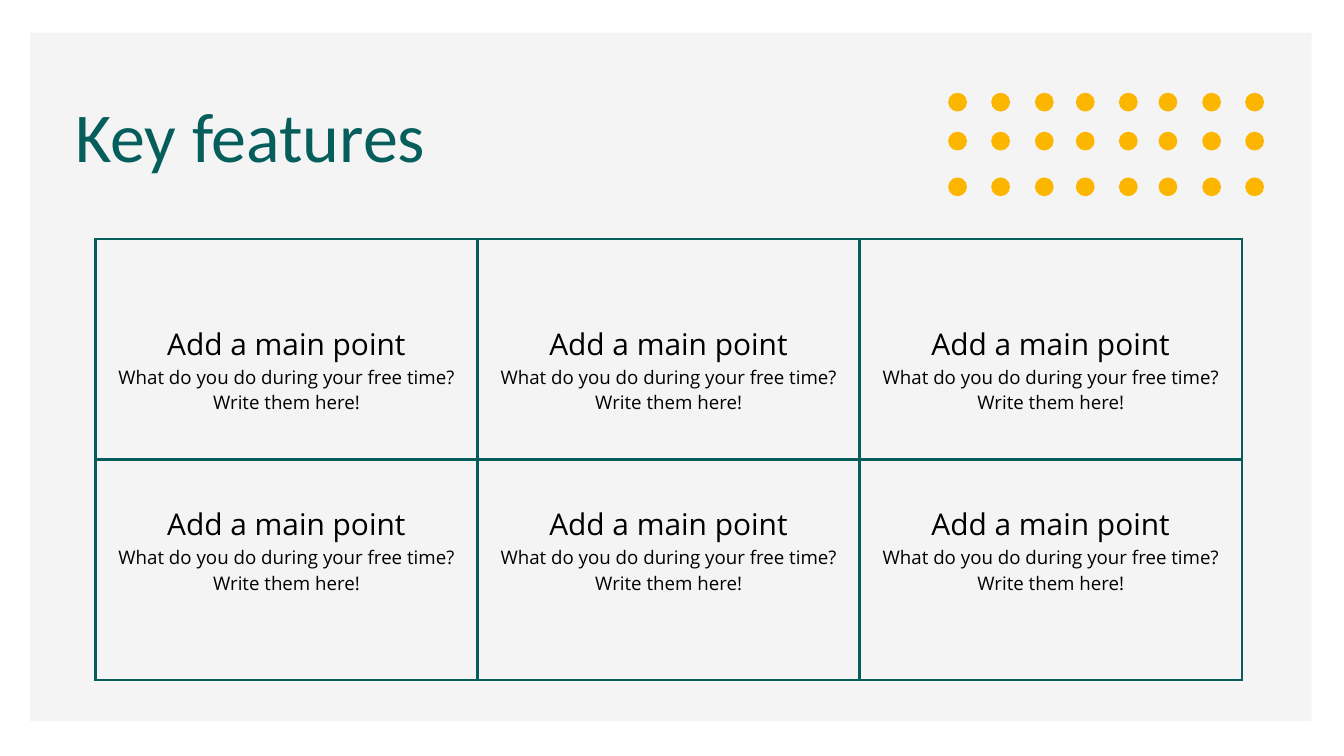
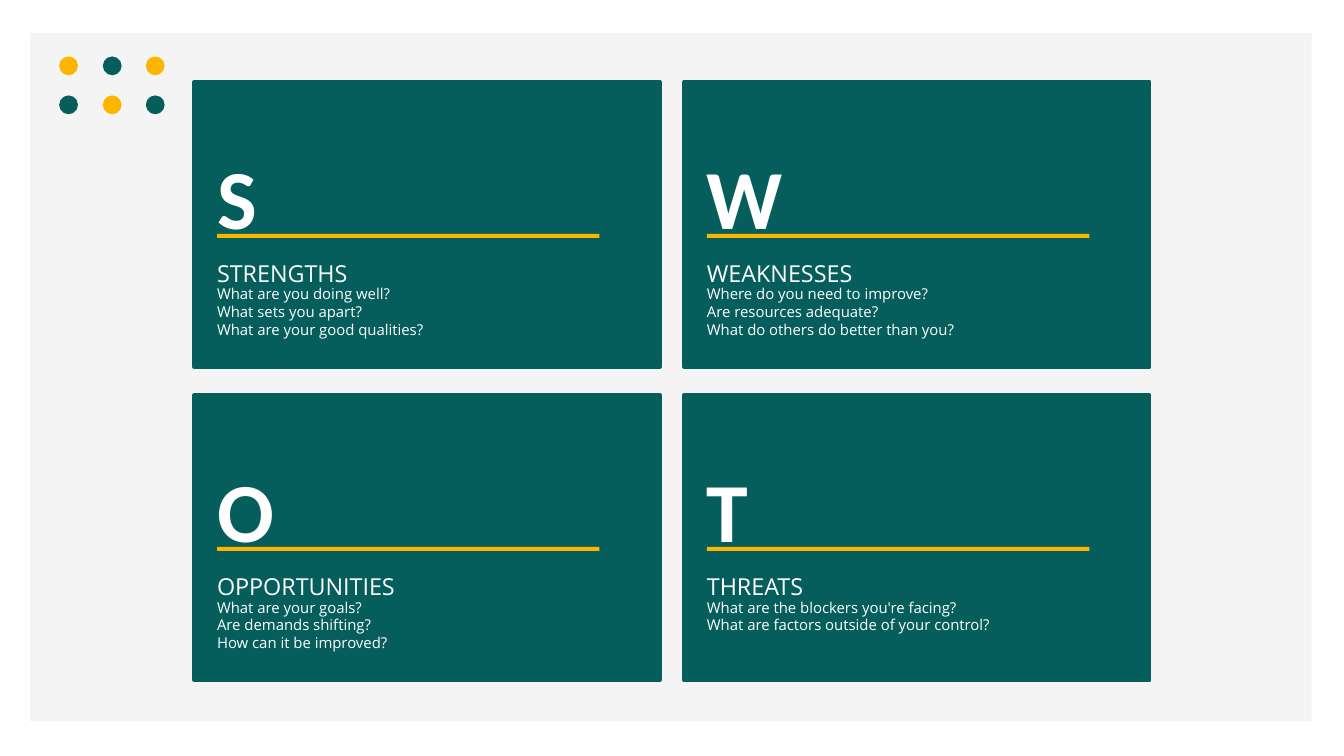
"""Build a key features table slide and a SWOT card slide."""
from lxml import etree
from pptx import Presentation
from pptx.dml.color import RGBColor
from pptx.enum.shapes import MSO_SHAPE
from pptx.enum.text import MSO_ANCHOR, MSO_AUTO_SIZE, PP_ALIGN
from pptx.oxml.ns import qn
from pptx.util import Pt

RECT, OVAL = MSO_SHAPE.RECTANGLE, MSO_SHAPE.OVAL
LEFT, MID = PP_ALIGN.LEFT, PP_ALIGN.CENTER
PX = 9144
TEAL, GOLD, GREY, WHITE, BLACK = "055E5C", "FDB600", "F4F4F4", "FFFFFF", "000000"
SIDES = ("left", "top", "width", "height")
FRAME = {"margin_left": 0, "margin_top": 0, "margin_right": 0, "margin_bottom": 0,
         "word_wrap": True, "auto_size": MSO_AUTO_SIZE.NONE,
         "vertical_anchor": MSO_ANCHOR.TOP}
TITLE = {"name": "Calibri", "size": Pt(75), "bold": False}
SIGN = {"name": "Calibri", "size": Pt(90), "bold": True}
HEAD = {"name": "Open Sans", "size": Pt(25), "bold": False}
LIST = {"name": "Open Sans", "size": Pt(16), "bold": False}
POINT = {"name": "Open Sans", "size": Pt(32), "bold": False}
NOTE = {"name": "Open Sans", "size": Pt(20), "bold": False}


def draw(slide, kind, box, hue, edge=0):
    """Add a plain filled shape."""
    shape = slide.shapes.add_shape(kind, *[n * PX for n in box])
    shape.shadow.inherit = False
    shape.fill.solid()
    shape.fill.fore_color.rgb = RGBColor.from_string(hue)
    if edge:
        shape.line.color.rgb = RGBColor.from_string(hue)
        shape.line.width = Pt(edge)
    else:
        shape.line.fill.background()


def write(item, lines, hue, align=LEFT, space=1.0, box=None):
    """Fill a shape or cell with (text, format) lines and place it."""
    frame = item.text_frame
    if box:
        for side, n in zip(SIDES, box):
            setattr(item, side, n * PX)
        for key, val in FRAME.items():
            setattr(frame, key, val)
    for i, (text, look) in enumerate(lines):
        para = frame.add_paragraph() if i else frame.paragraphs[0]
        props = para._p.get_or_add_pPr()
        props.set("marL", "0")
        props.set("indent", "0")
        etree.SubElement(props, qn("a:buNone"))
        para.alignment = align
        para.line_spacing = space
        para.space_before = Pt(0)
        run = para.add_run()
        run.text = text
        run.font.color.rgb = RGBColor.from_string(hue)
        for key, val in look.items():
            setattr(run.font, key, val)


deck = Presentation()
deck.slide_width, deck.slide_height = 2000 * PX, 1125 * PX
feats, swot = [deck.slides.add_slide(deck.slide_layouts[n]) for n in (5, 4)]
for slide in (feats, swot):
    draw(slide, RECT, (45, 49, 1907, 1024), GREY)

title = feats.shapes.title
write(title, [("Key features", TITLE)], TEAL, space=1.2, box=(112, 112, 686, 125))
feats.shapes._spTree.append(title._element)

grid = feats.shapes.add_table(2, 3, 142 * PX, 356 * PX, 1706 * PX, 656 * PX).table
grid.first_row = grid.horz_banding = False
for row, gap in enumerate((126, 66)):
    for col in range(3):
        cell = grid.cell(row, col)
        write(cell, [("Add a main point", POINT),
                     ("What do you do during your free time? Write them here!", NOTE)],
              BLACK, MID)
        cell.margin_top = gap * PX
        props = cell._tc.get_or_add_tcPr()
        for side in ("lnL", "lnR", "lnT", "lnB"):
            line = etree.SubElement(props, qn("a:" + side), w=str(Pt(3)))
            fill = etree.SubElement(line, qn("a:solidFill"))
            etree.SubElement(fill, qn("a:srgbClr"), val=TEAL)
        cell.fill.background()

for y in (138, 196, 264):
    for x in (1411, 1475, 1540, 1601, 1665, 1724, 1789, 1853):
        draw(feats, OVAL, (x, y, 28, 28), GOLD)

heads = ["STRENGTHS", "WEAKNESSES", "OPPORTUNITIES", "THREATS"]
asks = [
    ["What are you doing well?", "What sets you apart?",
     "What are your good qualities?"],
    ["Where do you need to improve?", "Are resources adequate?",
     "What do others do better than you?"],
    ["What are your goals?", "Are demands shifting?", "How can it be improved?"],
    ["What are the blockers you're facing?",
     "What are factors outside of your control?"],
]
tree = swot.shapes._spTree
tree.remove(swot.shapes.title._element)
bodies = list(swot.placeholders)
for i, (head, ask, body) in enumerate(zip(heads, asks, bodies)):
    x, y = 289 + i % 2 * 729, 122 + i // 2 * 466
    draw(swot, RECT, (x, y, 693, 424), TEAL, 3.75)
    draw(swot, RECT, (x + 34, y + 226, 569, 6), GOLD)
    for text, look, drop, wide, high in ((head[0], SIGN, 20, 72, 178),
                                         (head, HEAD, 243, 350, 42)):
        label = swot.shapes.add_textbox(0, 0, PX, PX)
        write(label, [(text, look)], WHITE, space=1.5,
              box=(x + 34, y + drop, wide, high))
    write(body, [(text, LIST) for text in ask], WHITE,
          box=(x + 34, y + 302, 480, 27 * len(ask)))
    tree.append(body._element)

for row, y in enumerate((84, 142)):
    for col, x in enumerate((88, 153, 217)):
        draw(swot, OVAL, (x, y, 28, 28), (GOLD, TEAL)[(row + col) % 2])

deck.save("out.pptx")
